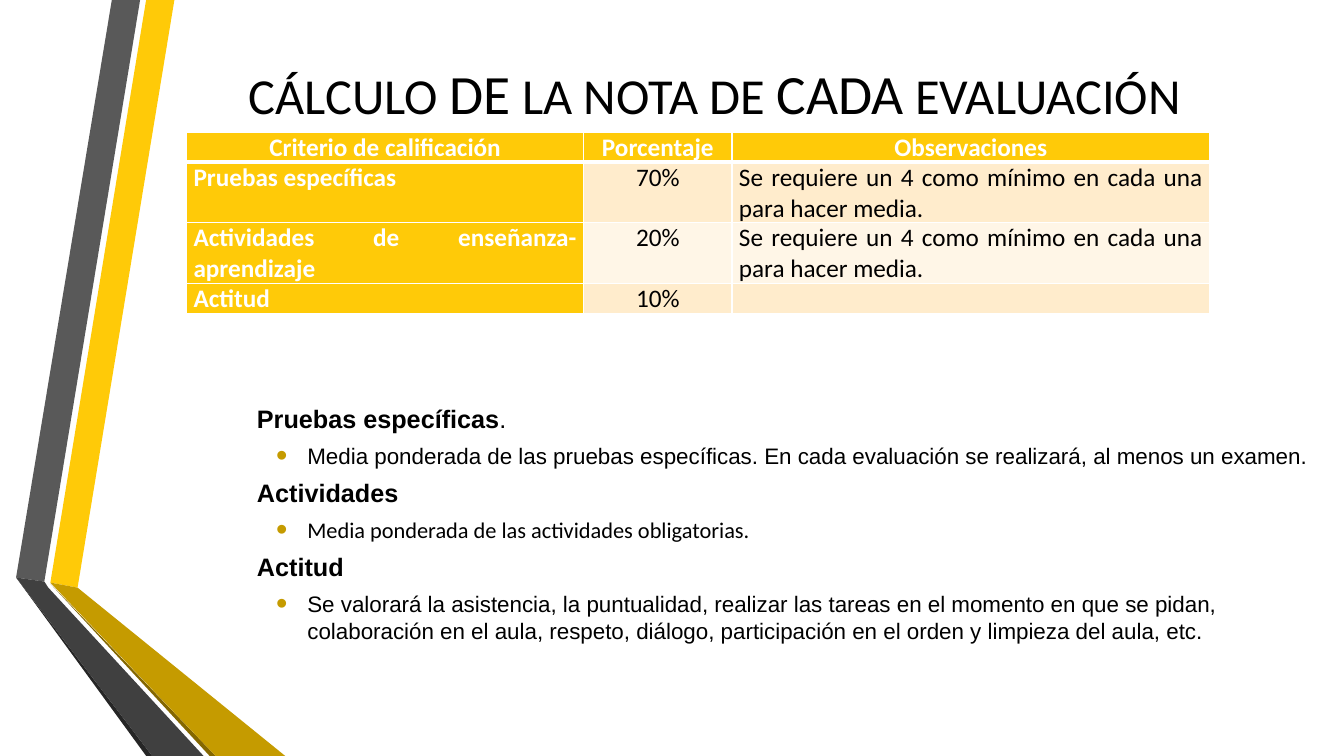
from dataclasses import dataclass

from lxml.etree import SubElement
from pptx import Presentation
from pptx.dml.color import RGBColor
from pptx.enum.text import MSO_ANCHOR, PP_ALIGN
from pptx.oxml.ns import qn
from pptx.slide import Slide
from pptx.table import _Cell
from pptx.text.text import _Paragraph
from pptx.util import Inches, Pt


@dataclass(frozen=True)
class Theme:
    gold: str = "FFCA08"
    dark_gold: str = "C59B00"
    gold_shadow: str = "846700"
    gray: str = "595959"
    dark_gray: str = "404040"
    gray_shadow: str = "262626"
    band: str = "FFECCC"
    light_band: str = "FFF6E7"
    white: str = "FFFFFF"
    black: str = "000000"
    heading_font: str = "Calibri"
    body_font: str = "Arial"
    title_size: float = 36
    title_accent_size: float = 39.6
    text_size: float = 18
    detail_size: float = 16


THEME = Theme()


@dataclass(frozen=True)
class Ribbon:
    color: str
    points: tuple[tuple[float, float], ...]


@dataclass(frozen=True)
class Criterion:
    name: str
    percentage: str
    remark: str
    fill: str


@dataclass(frozen=True)
class Explanation:
    heading: str
    suffix: str
    detail: str
    detail_font: str


RIBBONS = (
    Ribbon(THEME.gold, ((0.5, 5.78), (0.77, 5.83), (1.73, 0), (1.45, 0))),
    Ribbon(THEME.gray, ((1.39, 0), (1.11, 0), (0.16, 5.73), (0.44, 5.77))),
    Ribbon(THEME.gray_shadow, ((0.16, 5.73), (1.45, 7.5), (1.51, 7.5))),
    Ribbon(THEME.gold_shadow, ((0.5, 5.79), (2.08, 7.5), (2.14, 7.5))),
    Ribbon(THEME.dark_gold, ((0.5, 5.78), (2.14, 7.5), (2.83, 7.5), (0.77, 5.83))),
    Ribbon(THEME.dark_gray, ((2.02, 7.5), (0.48, 5.83), (0.44, 5.77), (0.16, 5.73), (1.51, 7.5))),
)
TITLE_PARTS = (
    ("CÁLCULO ", THEME.title_size),
    ("DE", THEME.title_accent_size),
    (" LA NOTA DE ", THEME.title_size),
    ("CADA", THEME.title_accent_size),
    (" EVALUACIÓN", THEME.title_size),
)
HEADERS = ("Criterio de calificación", "Porcentaje", "Observaciones")
COLUMN_WIDTHS = (3.94, 1.47, 4.74)
ROW_HEIGHT = 0.3
MINIMUM = "Se requiere un 4 como mínimo en cada una para hacer media."
CRITERIA = (
    Criterion("Pruebas específicas", "70%", MINIMUM, THEME.band),
    Criterion("Actividades de enseñanza-aprendizaje", "20%", MINIMUM, THEME.light_band),
    Criterion("Actitud", "10%", "", THEME.band),
)
EXPLANATIONS = (
    Explanation(
        "Pruebas específicas", ".",
        "Media ponderada de las pruebas específicas. En cada evaluación se realizará, "
        "al menos un examen.", THEME.body_font),
    Explanation(
        "Actividades", "",
        "Media ponderada de las actividades obligatorias.", THEME.heading_font),
    Explanation(
        "Actitud", "",
        "Se valorará la asistencia, la puntualidad, realizar las tareas en el momento en que "
        "se pidan, colaboración en el aula, respeto, diálogo, participación en el orden y "
        "limpieza del aula, etc.", THEME.body_font),
)


def add_run(paragraph: _Paragraph, text: str, size: float, font: str,
            bold: bool = False, color: str = THEME.black) -> None:
    run = paragraph.add_run()
    run.text = text
    for attribute, value in {"size": Pt(size), "name": font, "bold": bold}.items():
        setattr(run.font, attribute, value)
    run.font.color.rgb = RGBColor.from_string(color)


def draw_ribbon(slide: Slide, ribbon: Ribbon) -> None:
    start, *others = [(Inches(x), Inches(y)) for x, y in ribbon.points]
    builder = slide.shapes.build_freeform(*start)
    builder.add_line_segments(others, close=True)
    shape = builder.convert_to_shape()
    shape.shadow.inherit = False
    shape.fill.solid()
    shape.fill.fore_color.rgb = RGBColor.from_string(ribbon.color)
    shape.line.fill.background()


def draw_title(slide: Slide) -> None:
    title = slide.shapes.title
    box = {"left": 1.61, "top": 0.31, "width": 10.96, "height": 1.22}
    for attribute, value in box.items():
        setattr(title, attribute, Inches(value))
    title.text_frame.vertical_anchor = MSO_ANCHOR.MIDDLE
    paragraph = title.text_frame.paragraphs[0]
    paragraph.alignment = PP_ALIGN.CENTER
    for text, size in TITLE_PARTS:
        add_run(paragraph, text, size, THEME.heading_font)


def set_borders(cell: _Cell, top: float, bottom: float) -> None:
    """Give the cell white edges; the fill must be set afterwards."""
    properties = cell._tc.get_or_add_tcPr()
    for tag, width in {"a:lnL": 1, "a:lnR": 1, "a:lnT": top, "a:lnB": bottom}.items():
        edge = SubElement(properties, qn(tag), w=str(Pt(width)))
        SubElement(SubElement(edge, qn("a:solidFill")), qn("a:srgbClr"), val=THEME.white)


def fill_cell(cell: _Cell, text: str, fill: str, alignment: PP_ALIGN,
              strong: bool, top: float, bottom: float) -> None:
    margins = {"margin_left": 0.07, "margin_right": 0.07, "margin_top": 0, "margin_bottom": 0}
    for attribute, value in margins.items():
        setattr(cell, attribute, Inches(value))
    set_borders(cell, top, bottom)
    cell.fill.solid()
    cell.fill.fore_color.rgb = RGBColor.from_string(fill)
    paragraph = cell.text_frame.paragraphs[0]
    paragraph.alignment = alignment
    paragraph.space_after = Pt(6)
    if text:
        add_run(paragraph, text, THEME.text_size, THEME.heading_font, strong,
                THEME.white if strong else THEME.black)


def draw_criteria_table(slide: Slide) -> None:
    row_count = len(CRITERIA) + 1
    table = slide.shapes.add_table(
        row_count, len(HEADERS), Inches(1.85), Inches(1.31),
        Inches(sum(COLUMN_WIDTHS)), Inches(ROW_HEIGHT * row_count)).table
    for column, width in zip(table.columns, COLUMN_WIDTHS):
        column.width = Inches(width)
    for row in table.rows:
        row.height = Inches(ROW_HEIGHT)
    for index, header in enumerate(HEADERS):
        fill_cell(table.cell(0, index), header, THEME.gold, PP_ALIGN.CENTER, True, 1, 3)
    for row, criterion in enumerate(CRITERIA, start=1):
        values = (criterion.name, criterion.percentage, criterion.remark)
        for column, value in enumerate(values):
            is_name = column == 0
            fill_cell(table.cell(row, column), value,
                      THEME.gold if is_name else criterion.fill,
                      PP_ALIGN.CENTER if column == 1 else PP_ALIGN.JUSTIFY,
                      is_name, 3 if row == 1 else 1, 1)


def add_bullet(paragraph: _Paragraph) -> None:
    properties = paragraph._p.get_or_add_pPr()
    properties.set("marL", str(Inches(0.5)))
    properties.set("indent", str(Inches(-0.31)))
    SubElement(SubElement(properties, qn("a:buClr")), qn("a:srgbClr"), val=THEME.dark_gold)
    SubElement(properties, qn("a:buSzPct"), val="145000")
    SubElement(properties, qn("a:buFont"), typeface=THEME.body_font)
    SubElement(properties, qn("a:buChar"), char="•")


def draw_explanations(slide: Slide) -> None:
    frame = slide.shapes.add_textbox(
        Inches(2.45), Inches(3.43), Inches(10.81), Inches(3.53)).text_frame
    frame.word_wrap = True
    frame.vertical_anchor = MSO_ANCHOR.MIDDLE
    for index, item in enumerate(EXPLANATIONS):
        heading = frame.add_paragraph() if index else frame.paragraphs[0]
        heading.space_before = heading.space_after = Pt(6)
        add_run(heading, item.heading, THEME.text_size, THEME.body_font, bold=True)
        if item.suffix:
            add_run(heading, item.suffix, THEME.text_size, THEME.body_font)
        detail = frame.add_paragraph()
        add_bullet(detail)
        add_run(detail, item.detail, THEME.detail_size, item.detail_font)


def main() -> None:
    presentation = Presentation()
    presentation.slide_width = Inches(13.33)
    presentation.slide_height = Inches(7.5)
    slide = presentation.slides.add_slide(presentation.slide_layouts[5])
    for ribbon in RIBBONS:
        draw_ribbon(slide, ribbon)
    draw_title(slide)
    draw_explanations(slide)
    draw_criteria_table(slide)
    presentation.save("out.pptx")


if __name__ == "__main__":
    main()
